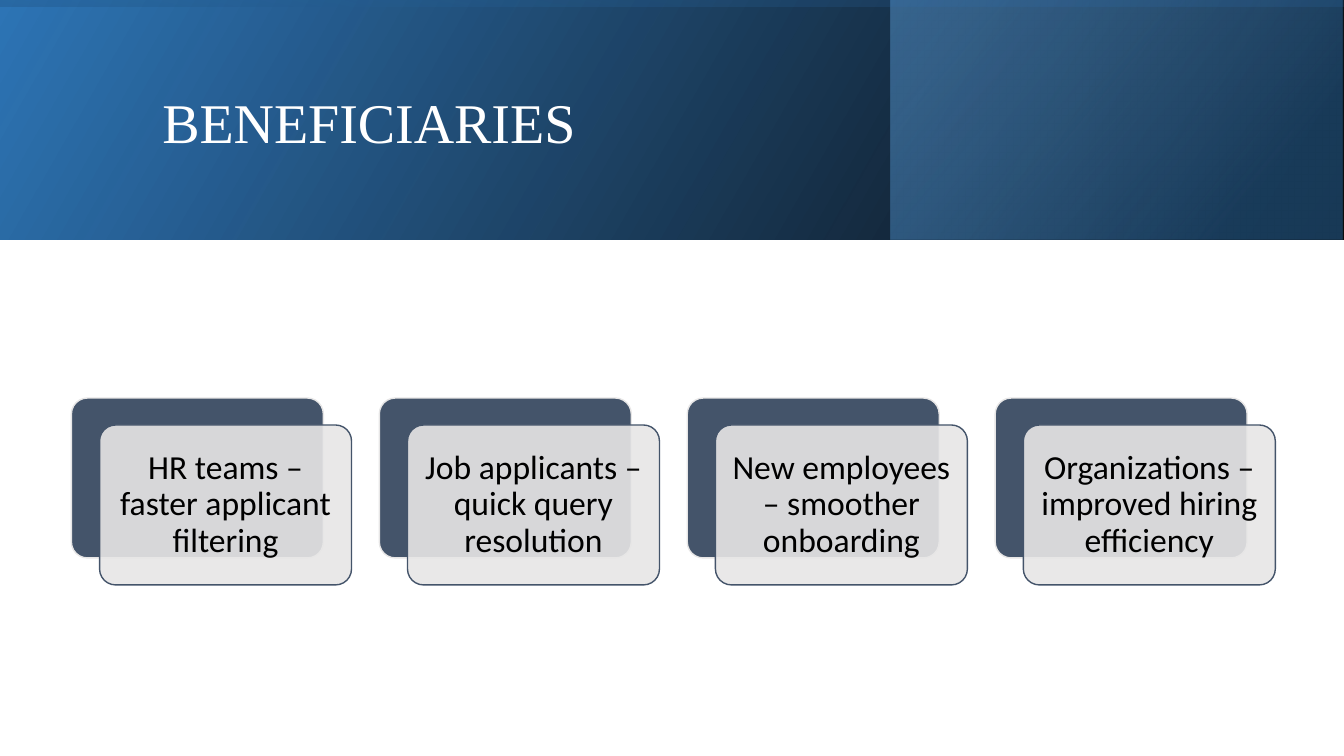
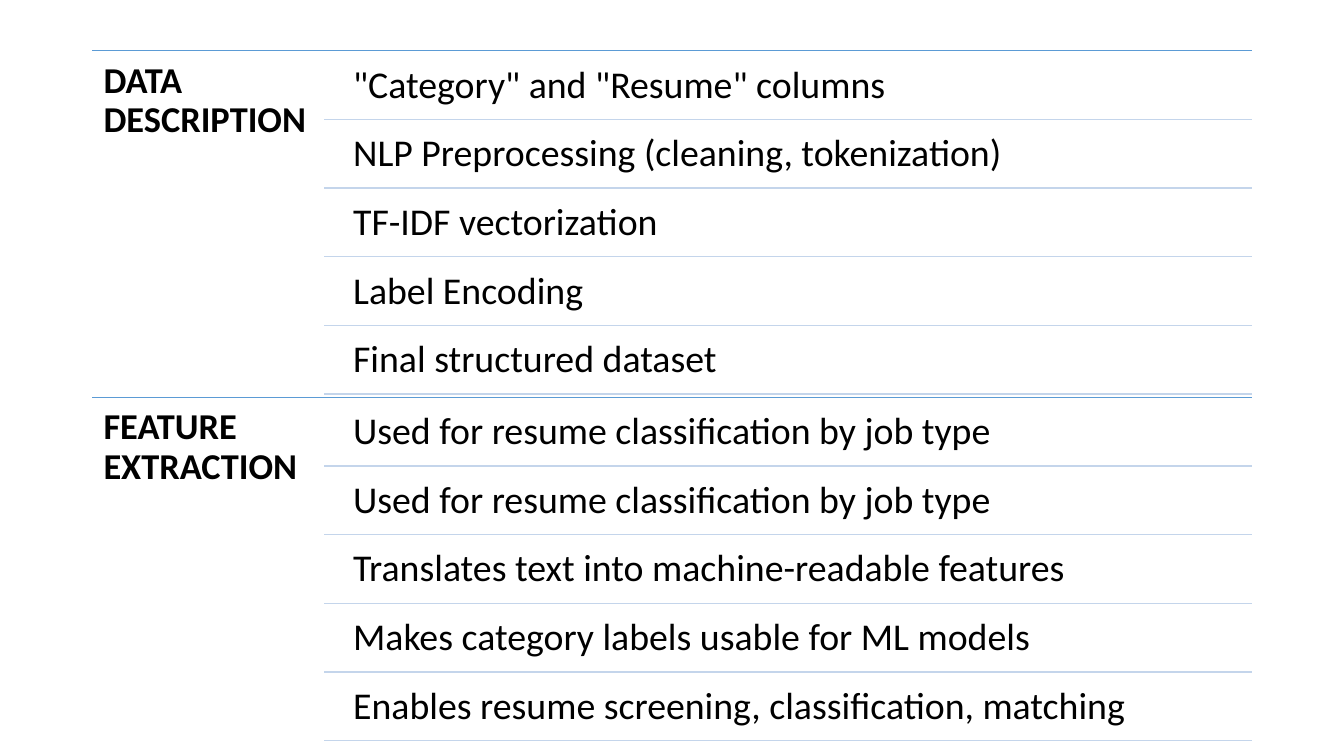
from lxml import etree
from pptx import Presentation
from pptx.dml.color import RGBColor
from pptx.enum.shapes import MSO_CONNECTOR, MSO_SHAPE
from pptx.enum.text import MSO_ANCHOR, PP_ALIGN
from pptx.oxml import parse_xml
from pptx.oxml.ns import nsdecls, qn
from pptx.util import Cm, Pt

RECT, ROUND = MSO_SHAPE.RECTANGLE, MSO_SHAPE.ROUNDED_RECTANGLE
LINE = MSO_CONNECTOR.STRAIGHT
TOP, MIDDLE = MSO_ANCHOR.TOP, MSO_ANCHOR.MIDDLE
LEFT, CENTER = PP_ALIGN.LEFT, PP_ALIGN.CENTER
WIDE, HIGH = 33.87, 19.05
BODY, HEAD = "Calibri", "Times New Roman"
BLACK, WHITE = "000000", "FFFFFF"
SLATE, PALE = "44546A", "E7E6E6"
BLUE, MIST = "5B9BD5", "C4D5EB"

GROUPS = [
    "HR teams – faster applicant filtering",
    "Job applicants – quick query resolution",
    "New employees – smoother onboarding",
    "Organizations – improved hiring efficiency",
]
TOPICS = [
    ("DATA DESCRIPTION", [
        '"Category" and "Resume" columns',
        "NLP Preprocessing (cleaning, tokenization)",
        "TF-IDF vectorization",
        "Label Encoding",
        "Final structured dataset",
    ]),
    ("FEATURE EXTRACTION", [
        "Used for resume classification by job type",
        "Used for resume classification by job type",
        "Translates text into machine-readable features",
        "Makes category labels usable for ML models",
        "Enables resume screening, classification, matching",
    ]),
]


def color(code):
    return RGBColor.from_string(code)


def box(x, y, w, h):
    return Cm(x), Cm(y), Cm(w), Cm(h)


def write(shape, text, size, tint=BLACK, face=BODY, bold=False,
          align=LEFT, anchor=TOP, inset=0.28):
    frame = shape.text_frame
    frame.word_wrap = True
    frame.vertical_anchor = anchor
    frame.margin_left = frame.margin_right = Cm(inset)
    frame.margin_top = frame.margin_bottom = Cm(inset)
    para = frame.paragraphs[0]
    para.text = text
    para.alignment = align
    para.line_spacing = 0.9
    font = para.font
    font.name, font.size, font.bold = face, Pt(size), bold
    font.color.rgb = color(tint)


def label(slide, area, text, size, **style):
    write(slide.shapes.add_textbox(*box(*area)), text, size, **style)


def rule(slide, x, y, w, tint):
    line = slide.shapes.add_connector(LINE, Cm(x), Cm(y), Cm(x + w), Cm(y))
    line.line.color.rgb = color(tint)
    line.line.width = Pt(1)
    etree.SubElement(line._element.spPr, qn("a:effectLst"))


def fade(slide, area, stops, angle, turn=0):
    shape = slide.shapes.add_shape(RECT, *box(*area))
    shape.shadow.inherit = False
    shape.line.fill.background()
    shape.rotation = turn
    props = shape._element.spPr
    props.find(qn("a:xfrm")).set("flipH", "1")
    marks = "".join(
        f'<a:gs pos="{at * 1000}"><a:srgbClr val="{tint}">'
        f'<a:alpha val="{alpha * 1000}"/></a:srgbClr></a:gs>'
        for at, tint, alpha in stops)
    props.find(qn("a:prstGeom")).addnext(parse_xml(
        f'<a:gradFill {nsdecls("a")} rotWithShape="1"><a:gsLst>{marks}</a:gsLst>'
        f'<a:lin ang="{angle * 60000}" scaled="0"/></a:gradFill>'))


def banner(slide, title, x, y, w, h):
    side = 11.39
    fade(slide, (x, y, w, h), [(0, BLACK, 96), (100, "2E75B6", 100)], 330)
    fade(slide, (x + 22.45, y, side, h),
         [(19, "1F4E79", 68), (100, BLUE, 48)], 320)
    shift = (w - h) / 2
    fade(slide, (x + shift, y - shift, h, w),
         [(23, "2E75B6", 16), (99, BLACK, 45)], 350, 270)
    label(slide, (x + 3.84, y + 0.97, 27, 4.37), title, 40,
          tint=WHITE, face=HEAD, anchor=MIDDLE, inset=0.25)


def plate(slide, area, fill, edge):
    shape = slide.shapes.add_shape(ROUND, *box(*area))
    shape.shadow.inherit = False
    shape.adjustments[0] = 0.1
    shape.fill.solid()
    shape.fill.fore_color.rgb = color(fill)
    shape.line.color.rgb = color(edge)
    shape.line.width = Pt(1)
    return shape


def card(slide, text, x, y, w, h):
    plate(slide, (x, y, w, h), SLATE, PALE)
    front = plate(slide, (x + 0.71, y + 0.68, w, h), PALE, SLATE)
    tone = front._element.spPr.find(qn("a:solidFill"))[0]
    etree.SubElement(tone, qn("a:alpha")).set("val", "90000")
    write(front, text, 24, align=CENTER, anchor=MIDDLE, inset=0.24)


def topic(slide, name, items, x, y, w, h):
    side, step = 5.84, 1.73
    rule(slide, x, y, w, BLUE)
    label(slide, (x, y, side, h), name, 26, bold=True)
    for i, item in enumerate(items):
        row = y + 0.09 + i * step
        label(slide, (x + side + 0.45, row, w - side - 0.45, 1.64), item, 27)
        rule(slide, x + side, row + 1.64, w - side, MIST)


def main():
    deck = Presentation()
    deck.slide_width, deck.slide_height = Cm(WIDE), Cm(HIGH)
    blank = deck.slide_layouts[6]

    slide = deck.slides.add_slide(blank)
    banner(slide, "BENEFICIARIES", 0, 0, WIDE, 6.03)
    for i, text in enumerate(GROUPS):
        card(slide, text, 1.8 + i * 7.76, 10.03, 6.35, 4.03)

    slide = deck.slides.add_slide(blank)
    tall = 8.73
    for i, (name, items) in enumerate(TOPICS):
        topic(slide, name, items, 2.33, 1.28 + i * tall, 29.21, tall)

    deck.save("out.pptx")


if __name__ == "__main__":
    main()
